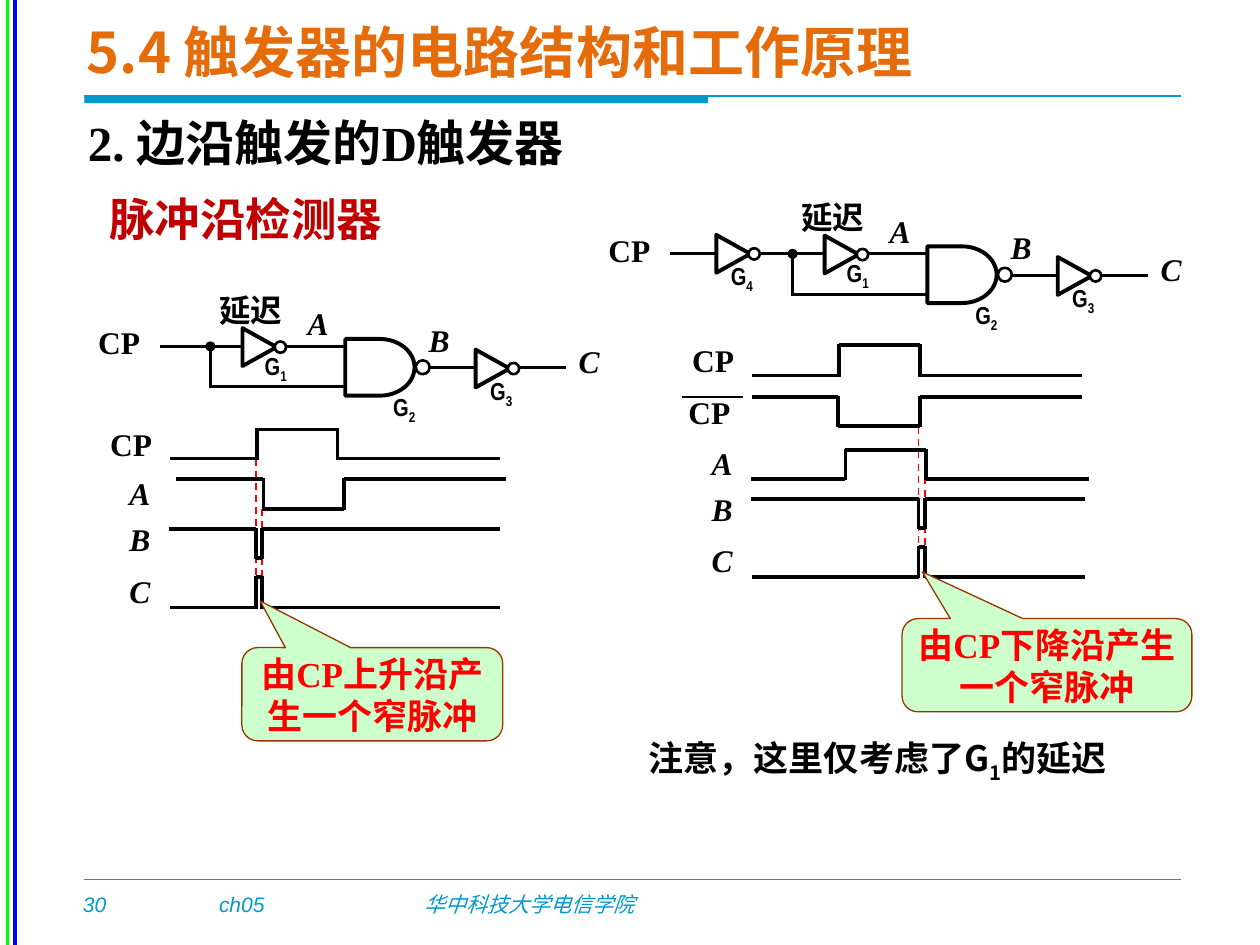
from lxml import etree
from pptx import Presentation
from pptx.dml.color import RGBColor
from pptx.enum.dml import MSO_LINE
from pptx.enum.shapes import MSO_CONNECTOR, MSO_SHAPE
from pptx.enum.text import MSO_ANCHOR, PP_ALIGN
from pptx.oxml.ns import qn
from pptx.util import Cm, Pt

STRAIGHT = MSO_CONNECTOR.STRAIGHT
DASH = MSO_LINE.DASH
OVAL = MSO_SHAPE.OVAL
TRIANGLE = MSO_SHAPE.ISOSCELES_TRIANGLE
DELAY = MSO_SHAPE.FLOWCHART_DELAY
CALLOUT = MSO_SHAPE.ROUNDED_RECTANGULAR_CALLOUT
BAR = MSO_SHAPE.RECTANGLE
CENTER = PP_ALIGN.CENTER
MIDDLE = MSO_ANCHOR.MIDDLE
SERIF = "Times New Roman"
SANS = "Noto Sans CJK SC"
NARROW = "Arial Narrow"
BLACK, WHITE, TEAL, RED = "000000", "FFFFFF", "0099CC", "FF0000"
SHIFT = (4.62, -0.735)


def grid(*units):
    """Turn grid units of 2.54 cm into lengths."""
    return [Cm(2.54 * unit) for unit in units]


def color(code):
    """Turn a hex string into a colour."""
    return RGBColor.from_string(code)


def line(slide, start, end, width=2, code=BLACK, dash=None):
    """Draw a straight line without shadow."""
    wire = slide.shapes.add_connector(STRAIGHT, *grid(*start, *end))
    wire.line.width = Pt(width)
    wire.line.color.rgb = color(code)
    if dash:
        wire.line.dash_style = dash
    etree.SubElement(wire._element.spPr, qn("a:effectLst"))


def shape(slide, kind, box, fill=WHITE, width=1.5, edge=BLACK):
    """Draw a filled preset shape, outlined if a width is given."""
    form = slide.shapes.add_shape(kind, *grid(*box))
    form.shadow.inherit = False
    form.fill.solid()
    form.fill.fore_color.rgb = color(fill)
    if width:
        form.line.width = Pt(width)
        form.line.color.rgb = color(edge)
    else:
        form.line.fill.background()
    return form


def write(frame, text, size, face, code=BLACK, bold=True, italic=False, lead=None, align=None):
    """Fill a text frame; underscores enclose subscripts."""
    para = frame.paragraphs[0]
    para.alignment = align
    para.line_spacing = lead
    for index, part in enumerate(text.split("_")):
        if not part:
            continue
        run = para.add_run()
        run.text = part
        font = run.font
        font.size, font.name = Pt(size), face
        font.bold, font.italic = bold, italic
        font.color.rgb = color(code)
        props = run._r.get_or_add_rPr()
        etree.SubElement(props, qn("a:ea"), typeface=SANS)
        if index % 2:
            props.set("baseline", "-25000")


def trim(frame):
    """Remove the margins of a text frame."""
    frame.margin_left = frame.margin_right = 0
    frame.margin_top = frame.margin_bottom = 0


def label(slide, box, text, size, face, tight=False, wrap=True, **style):
    """Add a text box and return its frame."""
    frame = slide.shapes.add_textbox(*grid(*box)).text_frame
    frame.word_wrap = wrap
    if tight:
        trim(frame)
    write(frame, text, size, face, **style)
    return frame


def signal(slide, left, top, text, width=0.27):
    """Name a signal, in italics if it is a single letter."""
    label(slide, (left, top, width, 0.27), text, 18, SERIF, tight=True,
          italic=len(text) == 1, lead=0.9, align=CENTER)


def tag(slide, left, top, number):
    """Name a gate with its number as subscript."""
    label(slide, (left, top, 0.31, 0.28), f"G_{number}_", 14, NARROW, tight=True, lead=1.2)


def inverter(slide, left, top, number, drop=0.11):
    """Draw an inverter with its bubble and name."""
    form = shape(slide, TRIANGLE, (left, top, 0.3, 0.27), width=2.25)
    form.rotation = 90
    shape(slide, OVAL, (left + 0.27, top + 0.09, 0.09, 0.09))
    tag(slide, left + 0.13 + 0.06 * (number == 1), top + drop + 0.03, number)


def circuit(slide, dx, dy, start):
    """Draw the edge detector circuit, moved by dx and dy."""
    for x1, y1, x2, y2 in ((1.66, 3.07, 2.9, 3.07), (3.36, 2.92, 4.49, 2.92),
                           (start - dx, 2.75, 2.88, 2.75), (1.67, 2.75, 1.67, 3.08)):
        line(slide, (x1 + dx, y1 + dy), (x2 + dx, y2 + dy), 1.75)
    shape(slide, OVAL, (3.3 + dx, 2.86 + dy, 0.11, 0.11))
    shape(slide, DELAY, (2.74 + dx, 2.69 + dy, 0.55, 0.45), width=2.25)
    shape(slide, OVAL, (1.63 + dx, 2.71 + dy, 0.08, 0.08), BLACK, None)
    inverter(slide, 1.91 + dx, 2.62 + dy, 1, 0.08)
    inverter(slide, 3.76 + dx, 2.79 + dy, 3)
    tag(slide, 3.12 + dx, 3.06 + dy, 2)
    for text, left, top in (("A", 2.39, 2.45), ("B", 3.35, 2.58), ("C", 4.54, 2.75)):
        signal(slide, left + dx, top + dy, text)
    signal(slide, start - 0.62, 2.6 + dy, "CP", 0.59)
    label(slide, (1.64 + dx, 2.2 + dy, 0.99, 0.45), "延迟", 18, SANS, lead=1.2)


def wave(slide, text, mid, top, start, rise, fall, end, base, peak):
    """Draw one named pulse; its label is centred on mid."""
    signal(slide, mid - 0.31, top, text, 0.62)
    for x1, x2, level in ((start, rise, base), (rise, fall, peak), (fall, end, base)):
        line(slide, (x1, level), (x2, level))
    low, high = sorted((base, peak))
    for edge in (rise, fall):
        line(slide, (edge, low - 0.01), (edge, high + 0.01))


def guide(slide, left, top):
    """Draw the two dashed lines that bound the narrow pulse."""
    line(slide, (left, top), (left, top + 1.01), 1, RED, DASH)
    line(slide, (left + 0.05, top + 0.4), (left + 0.05, top + 1), 1, RED, DASH)


def note(slide, box, text):
    """Draw a callout that points at the narrow pulse."""
    form = shape(slide, CALLOUT, box, "CCFFCC", 0.75, "993300")
    for index, value in enumerate((-0.43, -1, 0.17)):
        form.adjustments[index] = value
    form.text_frame.word_wrap = True
    trim(form.text_frame)
    write(form.text_frame, text, 20, SERIF, RED, align=CENTER)


def border(slide):
    """Draw the rules and the footer."""
    line(slide, (0.12, 0), (0.12, 7.5), code="0000FF")
    line(slide, (0.06, 0), (0.06, 7.5), code="00FF00")
    shape(slide, BAR, (0.67, 0.76, 4.95, 0.06), TEAL, None)
    for top in (0.76, 6.98):
        line(slide, (0.67, top), (9.37, top), 1, TEAL)
    for text, left, width in (("30", 0.56, 0.41), ("ch05", 1.64, 0.8),
                              ("华中科技大学电信学院", 3.27, 2.65)):
        label(slide, (left, 7.03, width, 0.3), text, 12, "Arial", wrap=len(text) > 2,
              code=TEAL, bold=False, italic=True)


def main():
    """Build the slide and save it."""
    deck = Presentation()
    deck.slide_width, deck.slide_height = grid(10, 7.5)
    slide = deck.slides.add_slide(deck.slide_layouts[6])
    border(slide)
    title = label(slide, (0.59, 0.05, 7.21, 0.71), "5.4 触发器的电路结构和工作原理", 32, SANS, code="E46C0A")
    title.vertical_anchor = MIDDLE
    label(slide, (0.6, 0.84, 8.74, 0.57), "2. 边沿触发的D触发器", 28, SERIF)
    label(slide, (0.77, 1.47, 2.97, 0.54), "脉冲沿检测器", 26, SANS, code="C00000")

    guide(slide, 2.03, 3.64)
    guide(slide, 7.29, 3.39)
    for row in (("CP", 1.04, 3.41, 1.35, 2.04, 2.68, 3.97, 3.64, 3.41),
                ("A", 1.11, 3.8, 1.4, 2.09, 2.73, 4.02, 3.8, 4.04),
                ("B", 1.11, 4.16, 1.34, 2.03, 2.08, 3.97, 4.2, 4.43),
                ("C", 1.11, 4.57, 1.35, 2.03, 2.08, 3.97, 4.82, 4.58),
                ("CP", 5.66, 2.74, 5.97, 6.66, 7.3, 8.59, 2.98, 2.74),
                ("CP", 5.63, 3.15, 5.97, 6.65, 7.3, 8.59, 3.15, 3.38),
                ("A", 5.73, 3.56, 5.96, 6.71, 7.35, 8.64, 3.8, 3.57),
                ("B", 5.73, 3.92, 5.96, 7.29, 7.34, 8.61, 3.96, 4.19),
                ("C", 5.73, 4.33, 5.97, 7.29, 7.34, 8.61, 4.58, 4.34)):
        wave(slide, *row)
    line(slide, (5.41, 3.15), (5.9, 3.15), 1)

    circuit(slide, 0, 0, 1.27)
    circuit(slide, *SHIFT, 5.32)
    inverter(slide, 5.67, 1.88, 4)
    note(slide, (1.92, 5.14, 2.07, 0.74), "由CP上升沿产生一个窄脉冲")
    note(slide, (7.16, 4.91, 2.3, 0.74), "由CP下降沿产生一个窄脉冲")
    label(slide, (5.05, 5.72, 4.11, 0.5), "注意，这里仅考虑了G_1_的延迟", 20, SANS, lead=1.2)
    deck.save("out.pptx")


if __name__ == "__main__":
    main()
